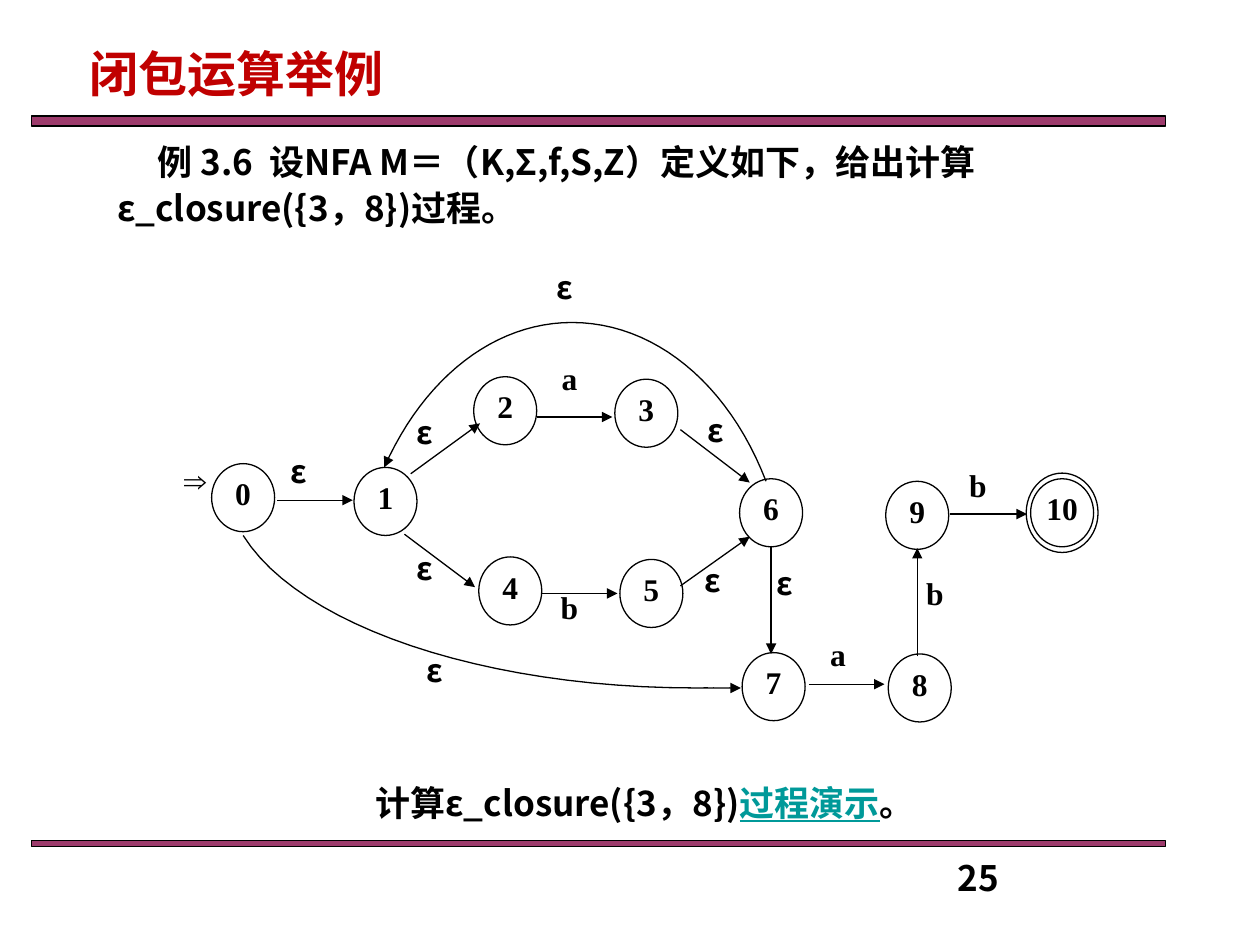
from lxml import etree
from pptx import Presentation
from pptx.dml.color import RGBColor
from pptx.enum.shapes import MSO_CONNECTOR, MSO_SHAPE
from pptx.enum.text import MSO_ANCHOR, MSO_AUTO_SIZE, PP_ALIGN
from pptx.oxml.ns import qn
from pptx.util import Inches, Pt

LEFT, CENTER = PP_ALIGN.LEFT, PP_ALIGN.CENTER
OVAL, RECTANGLE = MSO_SHAPE.OVAL, MSO_SHAPE.RECTANGLE
STRAIGHT = MSO_CONNECTOR.STRAIGHT
SANS, SERIF = "Noto Sans CJK SC", "Times New Roman"
COLORS = {"ink": "000000", "paper": "FFFFFF", "bar": "993366",
          "title": "C00000", "link": "009999"}

TITLE = "闭包运算举例"
PROBLEM = "例 3.6  设NFA M＝（K,Σ,f,S,Z）定义如下，给出计算ε_closure({3，8})过程。"
DEMO = [("计算ε_closure({3，8})", "ink"), ("过程演示", "link"), ("。", "ink")]
PAGE = "25"

BARS = [(0.92, 0.08), (6.67, 0.05)]  # top, height

STATE_SIZE = (0.5, 0.54)
FINAL_SIZE = (0.57, 0.63)
STATES = {  # centres
    "0": (1.93, 3.95), "1": (3.06, 3.98), "2": (4.01, 3.26), "3": (5.13, 3.28),
    "4": (4.05, 4.69), "5": (5.17, 4.71), "6": (6.12, 4.07), "7": (6.14, 5.45),
    "8": (7.3, 5.46), "9": (7.28, 4.09), "10": (8.43, 4.07),
}
FINAL_STATES = {"10"}

TRANSITIONS = [  # tail, arrow tip
    ((2.2, 3.97), (2.8, 3.97)),
    ((6.42, 5.43), (7.02, 5.43)),
    ((7.54, 4.08), (8.15, 4.08)),
    ((4.26, 3.31), (4.86, 3.31)),
    ((4.3, 4.71), (4.9, 4.71)),
    ((3.26, 3.76), (3.81, 3.36)),
    ((5.4, 4.65), (5.95, 4.26)),
    ((5.4, 3.41), (5.95, 3.83)),
    ((3.21, 4.24), (3.77, 4.66)),
    ((6.12, 4.33), (6.12, 5.19)),
    ((7.28, 5.21), (7.28, 4.35)),
]
CURVED_TRANSITIONS = [  # chained cubic Bezier control points
    [(1.93, 4.25), (2.38, 4.97), (3.84, 5.46), (5.51, 5.46),
     (5.63, 5.46), (5.76, 5.46), (5.88, 5.46)],
    [(6.08, 3.82), (5.78, 3.04), (5.19, 2.56), (4.54, 2.56),
     (3.93, 2.56), (3.37, 2.99), (3.05, 3.71)],
]
CURVE_STEPS = 24

LABEL_SIZE = (0.52, 0.53)
LABELS = [  # symbol, centre x, top
    ("⇒", 1.55, 3.61), ("ε", 2.37, 3.54), ("ε", 3.37, 3.23), ("ε", 3.37, 4.31),
    ("a", 4.52, 2.8), ("b", 4.52, 4.62), ("ε", 5.68, 3.21), ("ε", 5.66, 4.4),
    ("ε", 6.23, 4.43), ("ε", 3.45, 5.12), ("a", 6.65, 4.99), ("b", 7.42, 4.51),
    ("b", 7.76, 3.65), ("ε", 4.48, 2.08),
]


def rgb(name):
    return RGBColor.from_string(COLORS[name])


def inches(*values):
    return [Inches(value) for value in values]


def style(paragraph, font_name, size, color=None, align=LEFT, spacing=None):
    paragraph.alignment = align
    paragraph.line_spacing = spacing
    paragraph.space_before = Pt(0)
    font = paragraph.font
    font.name, font.size, font.bold = font_name, Pt(size), True
    if color:
        font.color.rgb = rgb(color)
    defaults = paragraph._p.pPr.find(qn("a:defRPr"))
    etree.SubElement(defaults, qn("a:ea"), typeface=font_name)


def outline(shape):
    shape.line.color.rgb = rgb("ink")
    shape.line.width = Pt(0.75)


def add_arrowhead(shape):
    line = shape._element.spPr.find(qn("a:ln"))
    etree.SubElement(line, qn("a:tailEnd"), type="triangle")


def fill_placeholder(placeholder, box, text):
    placeholder.left, placeholder.top, placeholder.width, placeholder.height = inches(*box)
    frame = placeholder.text_frame
    frame.text = text
    frame.word_wrap = True
    frame.auto_size = MSO_AUTO_SIZE.NONE
    frame.vertical_anchor = MSO_ANCHOR.TOP
    return frame.paragraphs[0]


def add_text(slide, box, text=""):
    frame = slide.shapes.add_textbox(*inches(*box)).text_frame
    frame.word_wrap = True
    frame.text = text
    return frame.paragraphs[0]


def add_oval(slide, center, size, fill=None):
    (x, y), (width, height) = center, size
    oval = slide.shapes.add_shape(
        OVAL, *inches(x - width / 2, y - height / 2, width, height))
    oval.shadow.inherit = False
    outline(oval)
    if fill:
        oval.fill.solid()
        oval.fill.fore_color.rgb = rgb(fill)
    else:
        oval.fill.background()
    return oval


def add_state(slide, name, center):
    oval = add_oval(slide, center, STATE_SIZE, "paper")
    if name in FINAL_STATES:
        oval = add_oval(slide, center, FINAL_SIZE)
    frame = oval.text_frame
    frame.word_wrap = False
    frame.margin_left = frame.margin_right = frame.margin_top = 0
    frame.margin_bottom = Inches(0.07)
    frame.vertical_anchor = MSO_ANCHOR.MIDDLE
    frame.text = name
    style(frame.paragraphs[0], SERIF, 18, "ink", CENTER)


def curve_points(controls):
    """Sample chained cubic Bezier segments, in EMU."""
    points = [tuple(inches(*controls[0]))]
    for first in range(0, len(controls) - 1, 3):
        segment = controls[first:first + 4]
        for step in range(1, CURVE_STEPS + 1):
            t = step / CURVE_STEPS
            weights = ((1 - t) ** 3, 3 * t * (1 - t) ** 2, 3 * t * t * (1 - t), t ** 3)
            points.append(tuple(
                Inches(sum(w * point[axis] for w, point in zip(weights, segment)))
                for axis in (0, 1)))
    return points


def add_curve(slide, controls):
    start, *rest = curve_points(controls)
    builder = slide.shapes.build_freeform(*start)
    builder.add_line_segments(rest, close=False)
    curve = builder.convert_to_shape()
    curve.shadow.inherit = False
    curve.fill.background()
    outline(curve)
    add_arrowhead(curve)


def add_transition(slide, tail, tip):
    arrow = slide.shapes.add_connector(STRAIGHT, *inches(*tail, *tip))
    outline(arrow)
    add_arrowhead(arrow)
    etree.SubElement(arrow._element.spPr, qn("a:effectLst"))


def add_bar(slide, top, height):
    bar = slide.shapes.add_shape(RECTANGLE, *inches(0.25, top, 9, height))
    bar.shadow.inherit = False
    bar.fill.solid()
    bar.fill.fore_color.rgb = rgb("bar")
    color = bar._element.spPr.find(qn("a:solidFill")).find(qn("a:srgbClr"))
    etree.SubElement(color, qn("a:alpha"), val="96000")
    outline(bar)


def main():
    deck = Presentation()
    deck.slide_width, deck.slide_height = inches(10, 7.5)
    slide = deck.slides.add_slide(deck.slide_layouts[1])

    for top, height in BARS:
        add_bar(slide, top, height)

    title = fill_placeholder(slide.shapes.title, (0.61, 0.25, 7.98, 0.59), TITLE)
    style(title, SANS, 28, "title", spacing=1.1)

    problem = fill_placeholder(slide.placeholders[1], (0.83, 1.03, 8.33, 0.98), PROBLEM)
    properties = problem._p.get_or_add_pPr()
    properties.set("marL", "0")
    properties.set("indent", str(Inches(0.32)))
    etree.SubElement(properties, qn("a:buNone"))
    style(problem, SANS, 20, "ink", spacing=1.1)

    for name, center in STATES.items():
        add_state(slide, name, center)
    for tail, tip in TRANSITIONS:
        add_transition(slide, tail, tip)
    for controls in CURVED_TRANSITIONS:
        add_curve(slide, controls)
    for symbol, x, top in LABELS:
        label = add_text(slide, (x - LABEL_SIZE[0] / 2, top, *LABEL_SIZE), symbol)
        style(label, SANS if symbol == "ε" else SERIF, 18, "ink", CENTER)

    demo = add_text(slide, (2.83, 6.15, 4.58, 0.43))
    style(demo, SANS, 20, align=CENTER)
    for text, color in DEMO:
        run = demo.add_run()
        run.text = text
        run.font.color.rgb = rgb(color)
        run.font.underline = color == "link"

    style(add_text(slide, (7.5, 6.75, 2.33, 0.43), PAGE), SANS, 20, "ink")
    deck.save("out.pptx")


if __name__ == "__main__":
    main()
